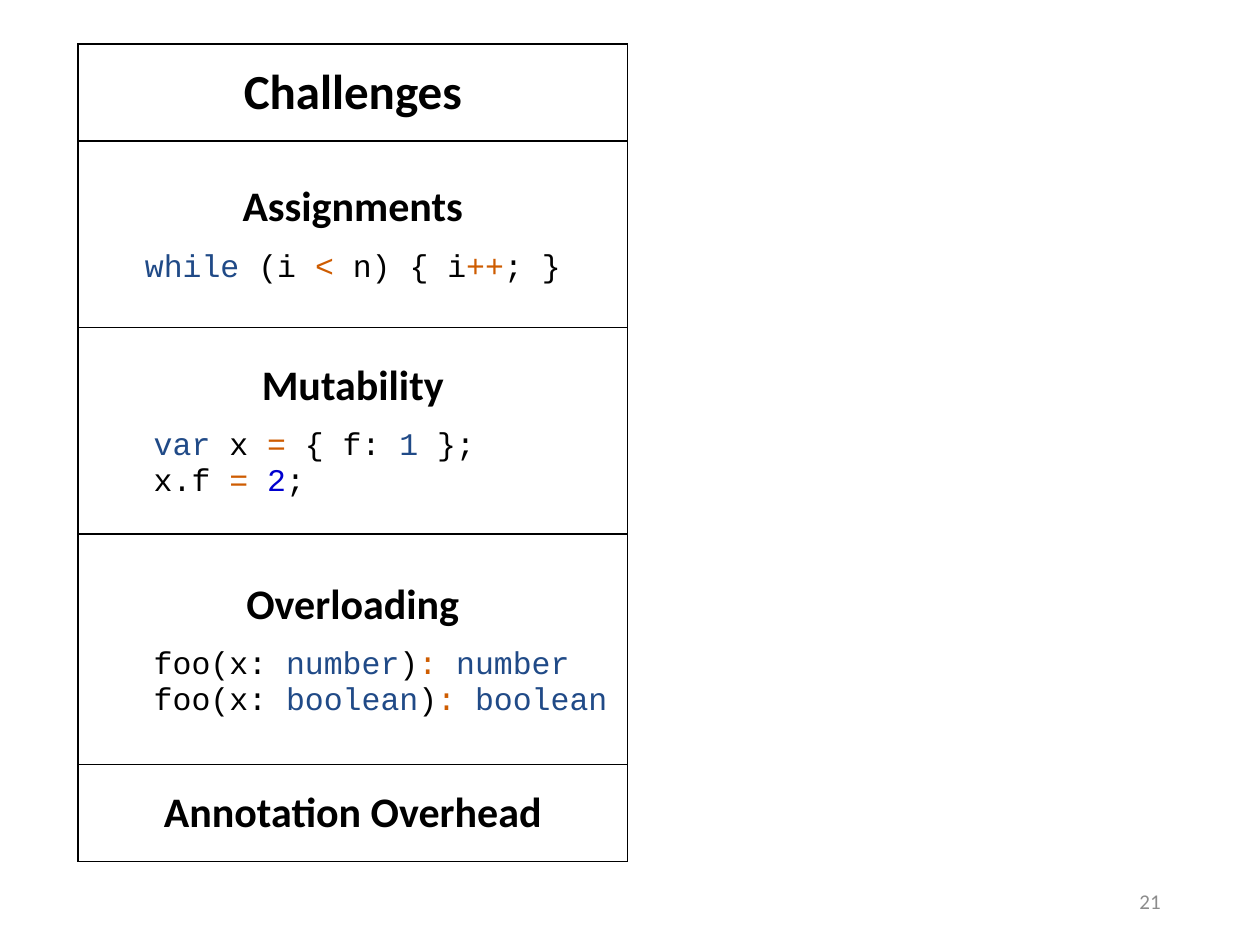
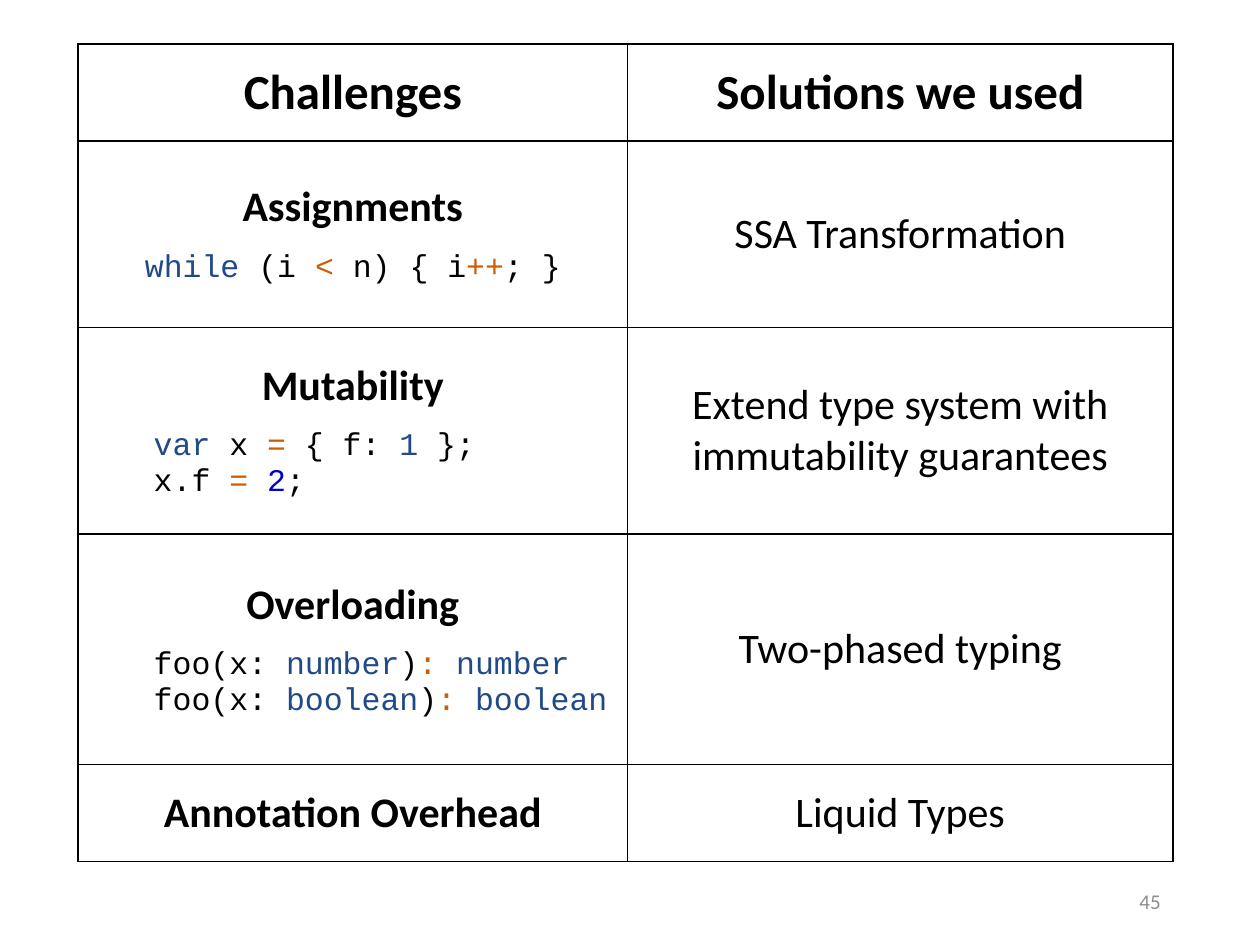
from dataclasses import dataclass

from lxml.etree import SubElement
from pptx import Presentation
from pptx.dml.color import RGBColor
from pptx.enum.text import MSO_ANCHOR as Anchor, PP_ALIGN as Align
from pptx.oxml.ns import qn
from pptx.util import Inches, Pt

BLACK = RGBColor(0x00, 0x00, 0x00)
GRAY = RGBColor(0x8C, 0x8C, 0x8C)
KEYWORD = RGBColor(0x20, 0x4A, 0x87)
OPERATOR = RGBColor(0xCE, 0x5C, 0x00)
NUMBER = RGBColor(0x00, 0x00, 0xCF)
BODY_FONT = "Calibri"
CODE_FONT = "Courier New"
BORDER_WIDTH = Pt(1)
SIDES = ("L", "R", "T", "B")
COLUMN_WIDTHS = (Inches(4.36), Inches(4.33))
CODE_INDENT = Inches(0.5)


@dataclass(frozen=True)
class Token:
    """A piece of code in one colour."""

    text: str
    color: RGBColor = BLACK


@dataclass(frozen=True)
class Row:
    """A challenge, its code example and its solution."""

    challenge: str
    solution: str
    height: float
    code: tuple[tuple[Token, ...], ...] = ()
    code_centered: bool = False
    is_header: bool = False


def signature(type_name: str) -> tuple[Token, ...]:
    """Return the code line of one overload of foo."""
    return (Token("foo(x: "), Token(type_name, KEYWORD), Token(")"),
            Token(": ", OPERATOR), Token(type_name, KEYWORD))


LOOP = (Token("while", KEYWORD), Token(" (i "), Token("<", OPERATOR),
        Token(" n) { i"), Token("++", OPERATOR), Token("; }"))
DECLARATION = (Token("var", KEYWORD), Token(" x "), Token("=", OPERATOR),
               Token(" { f: "), Token("1", KEYWORD), Token(" };"))
MUTATION = (Token("x.f "), Token("= ", OPERATOR), Token("2", NUMBER), Token(";"))

ROWS = (
    Row("Challenges", "Solutions we used", 0.77, is_header=True),
    Row("Assignments", "SSA Transformation", 1.48, (LOOP,), code_centered=True),
    Row("Mutability", "Extend type system with immutability guarantees", 1.64,
        (DECLARATION, MUTATION)),
    Row("Overloading", "Two-phased typing", 1.83,
        (signature("number"), signature("boolean"))),
    Row("Annotation Overhead", "Liquid Types", 0.77),
)


def add_text(paragraph, text: str, *, size: float = 24, font: str = BODY_FONT,
             color: RGBColor = BLACK, bold: bool = False,
             align: Align = Align.CENTER) -> None:
    """Append a formatted run to a paragraph."""
    paragraph.alignment = align
    run = paragraph.add_run()
    run.text = text
    run.font.size = Pt(size)
    run.font.name = font
    run.font.color.rgb = color
    run.font.bold = bold


def add_code(cell, row: Row) -> None:
    """Append the code lines of a row to its cell."""
    for index, line in enumerate(row.code):
        paragraph = cell.text_frame.add_paragraph()
        if index == 0:
            paragraph.line_spacing = 1.5
        if not row.code_centered:
            paragraph.level = 1
            properties = paragraph._p.get_or_add_pPr()
            properties.set("marL", str(CODE_INDENT))
            properties.set("indent", "0")
        align = Align.CENTER if row.code_centered else Align.LEFT
        for token in line:
            add_text(paragraph, token.text, size=18, font=CODE_FONT,
                     color=token.color, align=align)


def style_cell(cell, visible_sides: tuple[str, ...] = SIDES) -> None:
    """Give a cell black borders on the visible sides and no fill."""
    properties = cell._tc.get_or_add_tcPr()
    for side in SIDES:
        line = SubElement(properties, qn(f"a:ln{side}"), w=str(BORDER_WIDTH))
        if side in visible_sides:
            fill = SubElement(line, qn("a:solidFill"))
            SubElement(fill, qn("a:srgbClr"), val=str(BLACK))
        else:
            SubElement(line, qn("a:noFill"))
    cell.fill.background()
    cell.vertical_anchor = Anchor.MIDDLE


def add_challenge_table(slide, show_solutions: bool) -> None:
    """Add the table of challenges, with or without the solutions."""
    height = Inches(sum(row.height for row in ROWS))
    table = slide.shapes.add_table(len(ROWS), len(COLUMN_WIDTHS), Inches(0.62),
                                   Inches(0.35), sum(COLUMN_WIDTHS), height).table
    table.first_row = False
    table.horz_banding = False
    for column, width in zip(table.columns, COLUMN_WIDTHS):
        column.width = width
    for index, row in enumerate(ROWS):
        table.rows[index].height = Inches(row.height)
        challenge, solution = table.cell(index, 0), table.cell(index, 1)
        size = 28 if row.is_header else 24
        style_cell(challenge)
        add_text(challenge.text_frame.paragraphs[0], row.challenge,
                 size=size, bold=True)
        add_code(challenge, row)
        style_cell(solution, SIDES if show_solutions else ("L",))
        if show_solutions:
            add_text(solution.text_frame.paragraphs[0], row.solution,
                     size=size, bold=row.is_header)


def add_page_number(slide, number: int) -> None:
    """Add the page number at the bottom right."""
    box = slide.shapes.add_textbox(Inches(7.06), Inches(6.95),
                                   Inches(2.25), Inches(0.4))
    frame = box.text_frame
    frame.word_wrap = True
    frame.vertical_anchor = Anchor.MIDDLE
    add_text(frame.paragraphs[0], str(number), size=12, color=GRAY,
             align=Align.RIGHT)


def main() -> None:
    """Build and save the presentation."""
    presentation = Presentation()
    presentation.slide_width = Inches(10)
    presentation.slide_height = Inches(7.5)
    for number, show_solutions in ((21, False), (45, True)):
        slide = presentation.slides.add_slide(presentation.slide_layouts[6])
        add_challenge_table(slide, show_solutions)
        add_page_number(slide, number)
    presentation.save("out.pptx")


if __name__ == "__main__":
    main()
